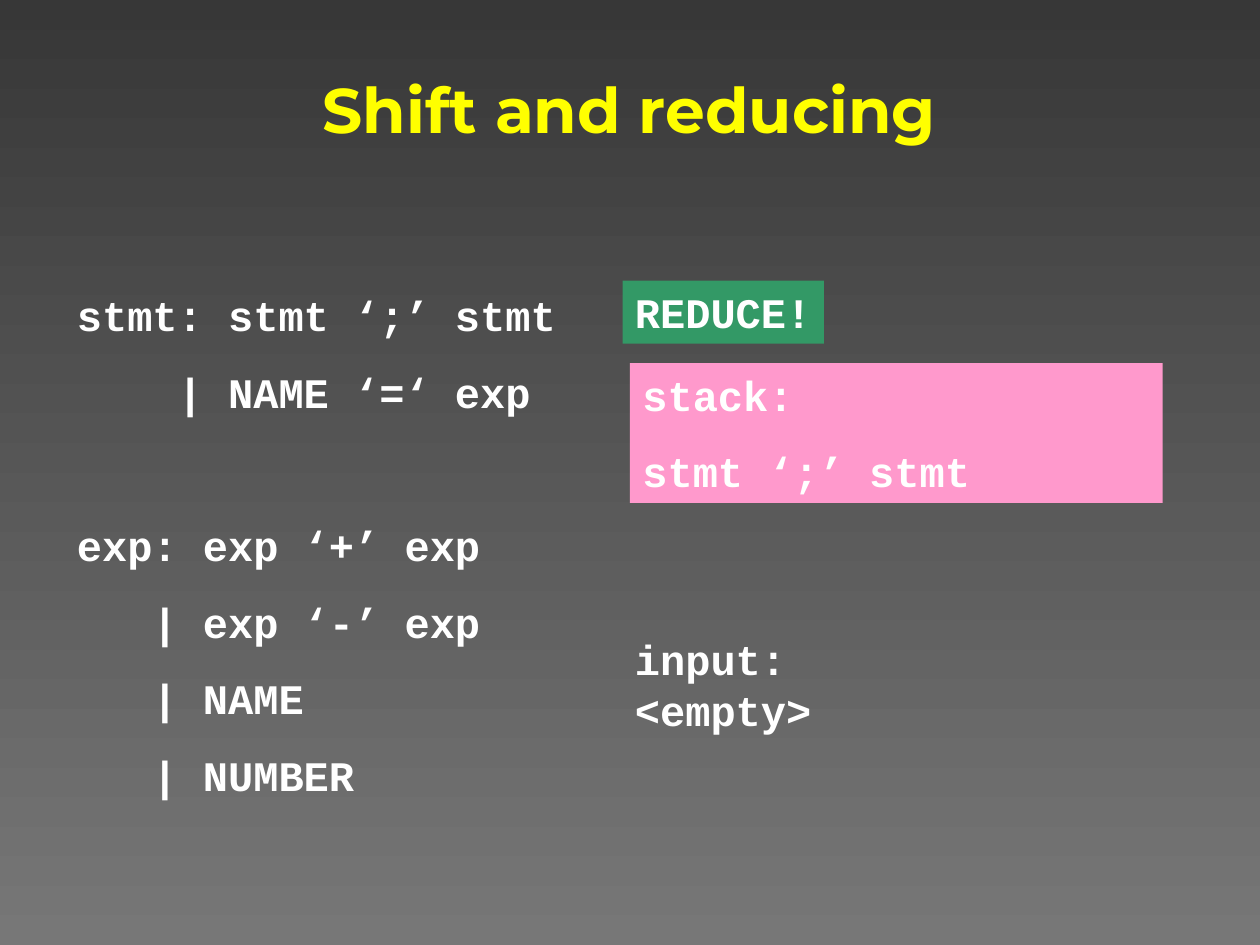
"""Build the slide on shifting and reducing in a parser."""
import pptx
import pptx.dml.color
import pptx.enum.shapes
import pptx.enum.text
import pptx.util

Cm, Pt = pptx.util.Cm, pptx.util.Pt
ANCHOR, ALIGN = pptx.enum.text.MSO_ANCHOR, pptx.enum.text.PP_ALIGN

COLORS = {
    "top": "373737",
    "bottom": "777777",
    "title": "FFFF00",
    "text": "FFFFFF",
    "stack": "FF99CC",
    "action": "339966",
}
CODE = {"name": "Courier New", "size": Pt(24), "bold": True}
HEADING = {"name": "Montserrat", "size": Pt(36), "bold": True}
RULE_GAP, GROUP_GAP = 15, 58.7

PARTS = [
    {
        "box": (0.74, 0.91, 23.9, 2.54),
        "lines": [("Shift and reducing", 0)],
        "font": HEADING, "color": "title",
        "frame": {"word_wrap": True, "vertical_anchor": ANCHOR.MIDDLE},
        "align": ALIGN.CENTER,
    },
    {
        "box": (1.3, 5.72, 10.29, 10.54),
        "lines": [
            ("stmt: stmt ‘;’ stmt", 0),
            ("    | NAME ‘=‘ exp", RULE_GAP),
            ("exp: exp ‘+’ exp", GROUP_GAP),
            ("   | exp ‘-’ exp", RULE_GAP),
            ("   | NAME", RULE_GAP),
            ("   | NUMBER", RULE_GAP),
        ],
    },
    {
        "box": (12.55, 12.65, 4.06, 2.29),
        "lines": [("input:", 0), ("<empty>", 0)],
        "frame": {"word_wrap": False, "vertical_anchor": ANCHOR.TOP},
    },
    {
        "box": (12.7, 7.32, 10.74, 2.82),
        "lines": [("stack:", 0), ("stmt ‘;’ stmt", RULE_GAP)],
        "fill": "stack",
    },
    {
        "box": (12.55, 5.66, 4.06, 1.27),
        "lines": [("REDUCE!", 0)],
        "fill": "action",
        "frame": {"word_wrap": False, "vertical_anchor": ANCHOR.TOP},
    },
]


def rgb(key):
    """Return the named colour."""
    return pptx.dml.color.RGBColor.from_string(COLORS[key])


def apply(target, values):
    """Set each attribute in values on target."""
    for name, value in values.items():
        setattr(target, name, value)


def add_part(slide, part):
    """Add one block of text, on a coloured panel where it has a fill."""
    box = [Cm(length) for length in part["box"]]
    if "fill" in part:
        block = slide.shapes.add_shape(pptx.enum.shapes.MSO_SHAPE.RECTANGLE, *box)
        block.shadow.inherit = False
        block.fill.solid()
        block.fill.fore_color.rgb = rgb(part["fill"])
        block.line.fill.background()
    else:
        block = slide.shapes.add_textbox(*box)
    frame = block.text_frame
    apply(frame, part.get("frame", {"word_wrap": True, "vertical_anchor": ANCHOR.TOP}))
    for index, (text, gap) in enumerate(part["lines"]):
        line = frame.add_paragraph() if index else frame.paragraphs[0]
        apply(line, {"alignment": part.get("align", ALIGN.LEFT), "space_before": Pt(gap)})
        run = line.add_run()
        run.text = text
        apply(run.font, part.get("font", CODE))
        run.font.color.rgb = rgb(part.get("color", "text"))


def main():
    """Create and save the deck."""
    deck = pptx.Presentation()
    apply(deck, {"slide_width": Cm(25.4), "slide_height": Cm(19.05)})
    slide = deck.slides.add_slide(deck.slide_layouts[6])
    backdrop = slide.background.fill
    backdrop.gradient()
    backdrop.gradient_angle = 270
    for stop, key, position in zip(backdrop.gradient_stops, ("top", "bottom"), (0, 1)):
        stop.color.rgb = rgb(key)
        stop.position = position
    for part in PARTS:
        add_part(slide, part)
    deck.save("out.pptx")


if __name__ == "__main__":
    main()
